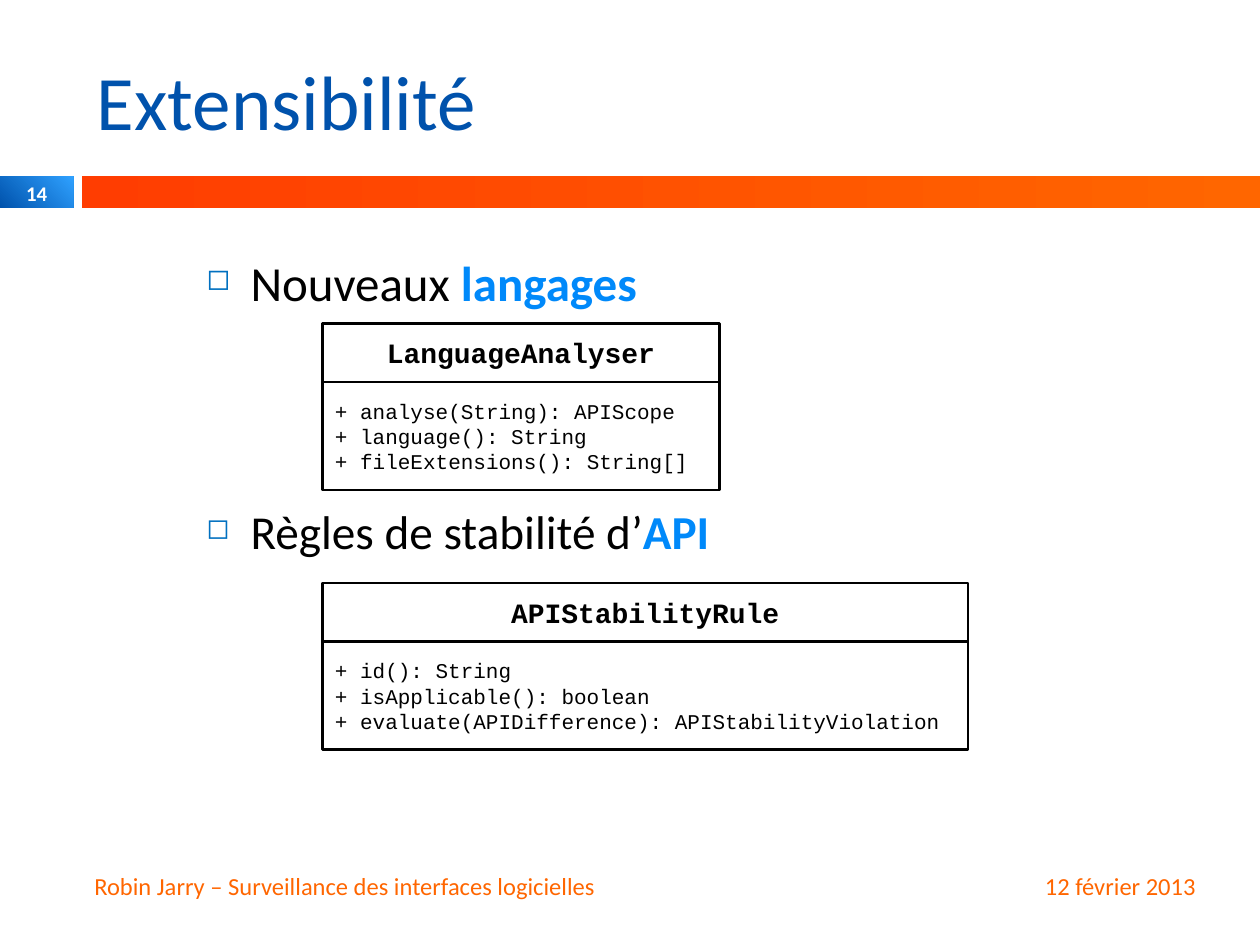
from lxml import etree
from pptx import Presentation
from pptx.dml.color import RGBColor
from pptx.enum import shapes as sh, text as tx
from pptx.oxml.ns import qn
from pptx.util import Pt

ORANGE, WHITE, BLACK, NAVY, AZURE = "FF6600", "FFFFFF", "000000", "0052AC", "0089FA"
SANS, MONO = "Calibri", "Courier New"
LEFT, CENTER, RIGHT = tx.PP_ALIGN.LEFT, tx.PP_ALIGN.CENTER, tx.PP_ALIGN.RIGHT

# left, top, width, height, first colour, last colour, angle
BANDS = [
    (0, 100.8, 42, 18, NAVY, "2FA1FF", 45),
    (46.8, 100.8, 673.2, 18, "FF3D01", ORANGE, 0),
]
# text, (left, top, width, height), size, colour, bold, alignment
LABELS = [
    ("Extensibilité", (48.24, 18, 642, 77.8), 44, NAVY, False, LEFT),
    ("14", (0, 100.8, 42, 19.4), 11.9, WHITE, True, CENTER),
    ("Robin Jarry – Surveillance des interfaces logicielles",
     (46.8, 491.8, 427, 28.8), 14, ORANGE, False, LEFT),
    ("12 février 2013", (480.2, 491.8, 210.2, 28.8), 14, ORANGE, False, RIGHT),
]
# plain words, highlighted word, top, size
POINTS = [
    ("Nouveaux ", "langages", 140.5, 28),
    ("Règles de stabilité d’", "API", 283.5, 27),
]
# class name, methods, top, width
CLASSES = [
    ("LanguageAnalyser",
     ["+ analyse(String): APIScope", "+ language(): String",
      "+ fileExtensions(): String[]"], 184.8, 226.8),
    ("APIStabilityRule",
     ["+ id(): String", "+ isApplicable(): boolean",
      "+ evaluate(APIDifference): APIStabilityViolation"], 333.2, 368.8),
]
POINT_LEFT, POINT_WIDTH, POINT_HEIGHT, POINT_INDENT = 110.9, 391, 42, 25.2
CLASS_LEFT, NAME_HEIGHT, METHODS_HEIGHT = 184.3, 33.5, 61.7


def rgb(value):
    return RGBColor.from_string(value)


def style(run, size, color, bold=False, font=SANS):
    run.font.size, run.font.bold, run.font.name = Pt(size), bold, font
    run.font.color.rgb = rgb(color)


def add_rect(parent, box):
    rect = parent.add_shape(sh.MSO_SHAPE.RECTANGLE, *map(Pt, box))
    rect.shadow.inherit = False
    return rect


def add_band(slide, box, first, last, angle):
    band = add_rect(slide.shapes, box)
    band.line.fill.background()
    band.fill.gradient()
    band.fill.gradient_angle = angle
    for stop, color, position in zip(band.fill.gradient_stops, (first, last), (0, 1)):
        stop.color.rgb = rgb(color)
        stop.position = position


def fill_frame(frame, lines, align, *look):
    frame.word_wrap = True
    frame.vertical_anchor = tx.MSO_ANCHOR.MIDDLE
    frame.text = "\n".join(lines)
    for paragraph in frame.paragraphs:
        paragraph.alignment = align
        for run in paragraph.runs:
            style(run, *look)


def add_bullet(paragraph):
    """Hang a small blue square in front of the paragraph."""
    props = paragraph._p.get_or_add_pPr()
    props.set("marL", str(Pt(POINT_INDENT)))
    props.set("indent", str(-Pt(POINT_INDENT)))
    color = etree.SubElement(props, qn("a:buClr"))
    etree.SubElement(color, qn("a:srgbClr"), val="0070C0")
    etree.SubElement(props, qn("a:buSzPct"), val="60000")
    etree.SubElement(props, qn("a:buChar"), char="◻")


def add_point(slide, words, highlight, top, size):
    box = slide.shapes.add_textbox(
        *map(Pt, (POINT_LEFT, top, POINT_WIDTH, POINT_HEIGHT)))
    box.text_frame.word_wrap = True
    paragraph = box.text_frame.paragraphs[0]
    add_bullet(paragraph)
    for part, color, bold in ((words, BLACK, False), (highlight, AZURE, True)):
        run = paragraph.add_run()
        run.text = part
        style(run, size, color, bold)


def add_class(slide, name, methods, top, width):
    group = slide.shapes.add_group_shape()
    compartments = [
        (top, NAME_HEIGHT, [name], CENTER, 16, True),
        (top + NAME_HEIGHT, METHODS_HEIGHT, methods, LEFT, 12, False),
    ]
    for y, height, lines, align, size, bold in compartments:
        rect = add_rect(group.shapes, (CLASS_LEFT, y, width, height))
        rect.fill.solid()
        rect.fill.fore_color.rgb = rgb(WHITE)
        rect.line.color.rgb = rgb(BLACK)
        rect.line.width = Pt(1.5)
        fill_frame(rect.text_frame, lines, align, size, BLACK, bold, MONO)


def main():
    deck = Presentation()
    deck.slide_width, deck.slide_height = Pt(720), Pt(540)
    slide = deck.slides.add_slide(deck.slide_layouts[6])
    for *box, first, last, angle in BANDS:
        add_band(slide, box, first, last, angle)
    for label, box, size, color, bold, align in LABELS:
        frame = slide.shapes.add_textbox(*map(Pt, box)).text_frame
        fill_frame(frame, [label], align, size, color, bold)
    for point in POINTS:
        add_point(slide, *point)
    for uml_class in CLASSES:
        add_class(slide, *uml_class)
    deck.save("out.pptx")


if __name__ == "__main__":
    main()
